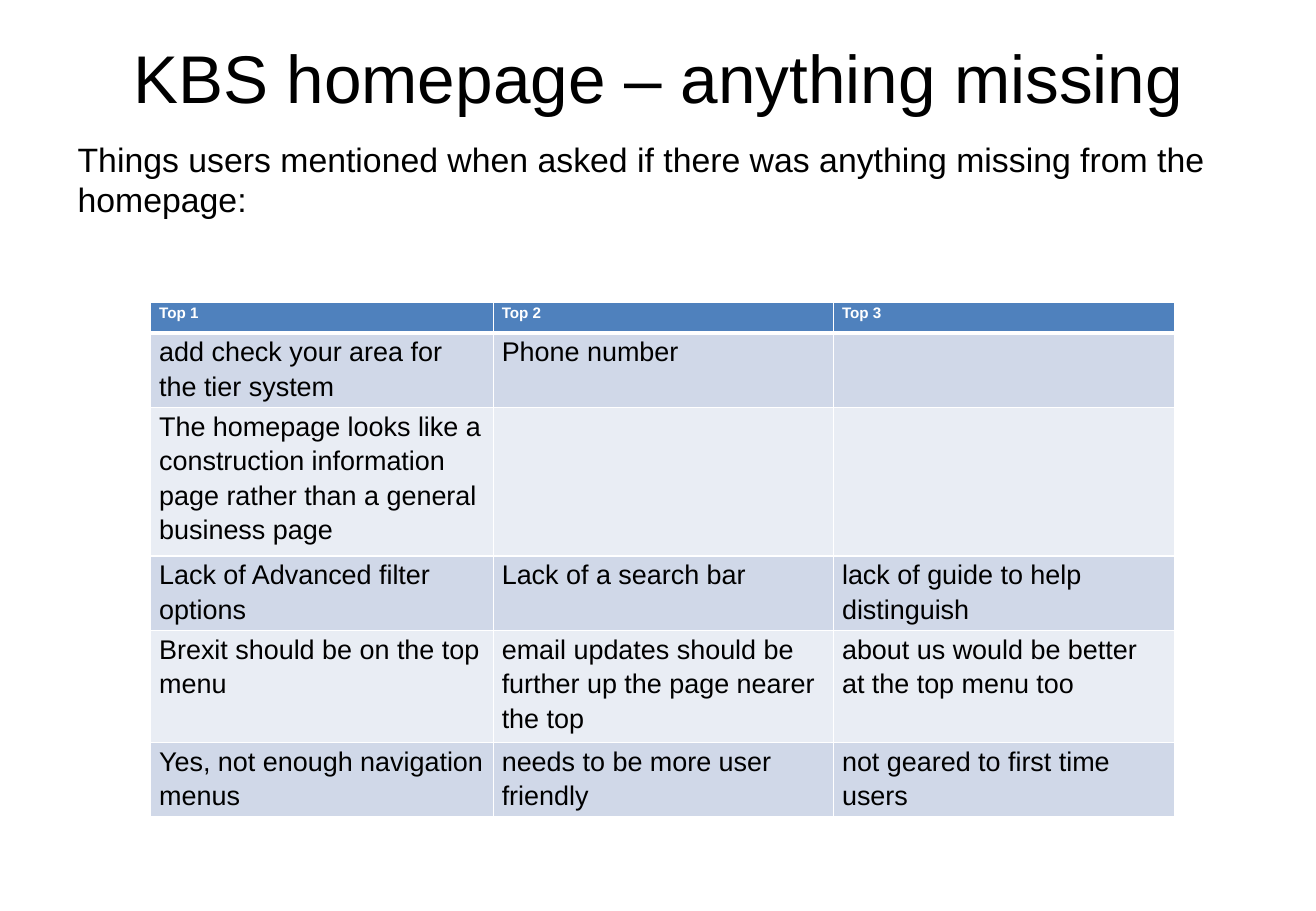
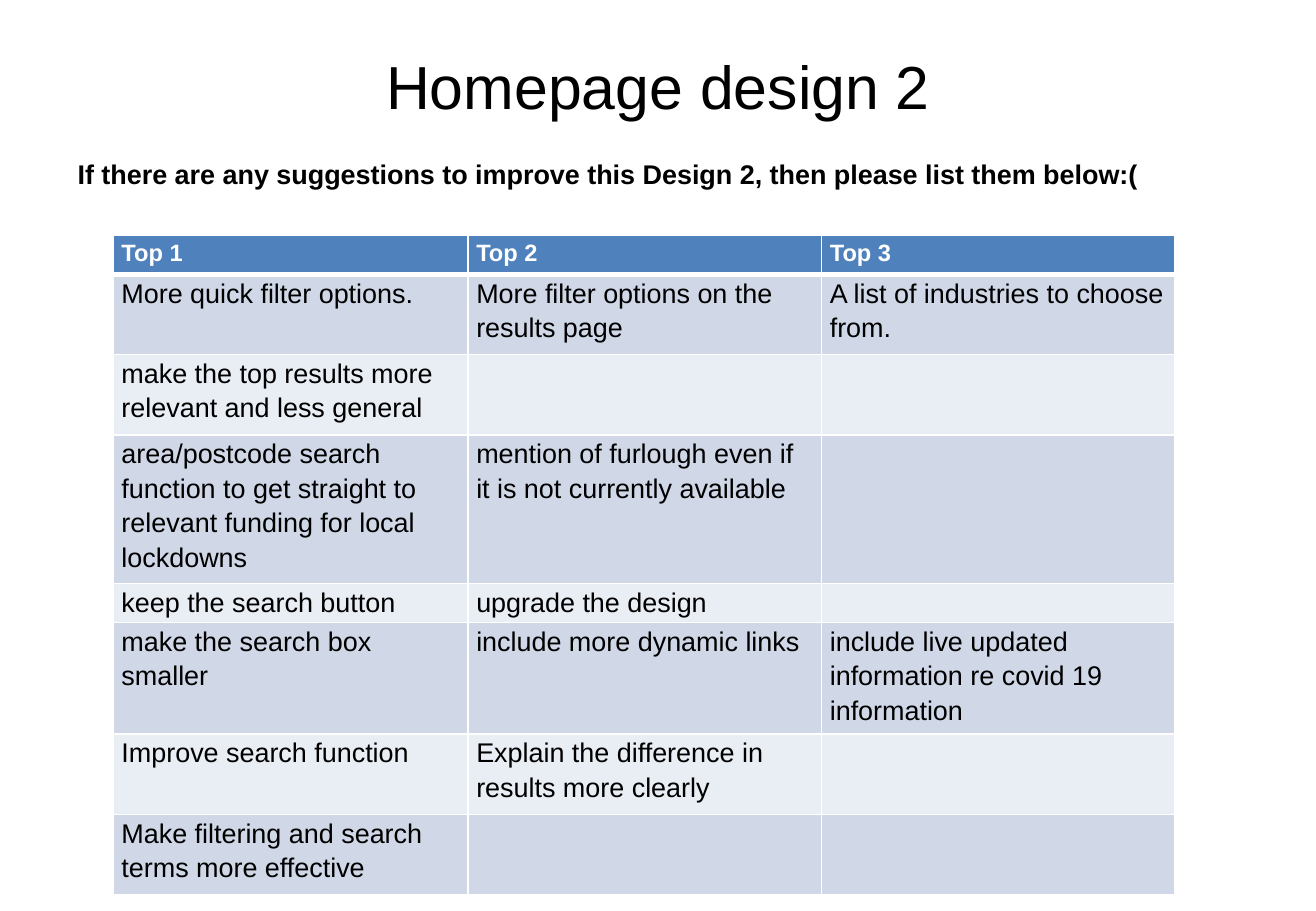
from lxml import etree
from pptx import Presentation
from pptx.dml.color import RGBColor
from pptx.enum.text import MSO_ANCHOR, PP_ALIGN
from pptx.oxml.ns import qn
from pptx.util import Inches, Pt

FONT = "Arial"
BLACK = RGBColor(0x00, 0x00, 0x00)
WHITE = RGBColor(0xFF, 0xFF, 0xFF)
HEADER_BLUE = RGBColor(0x4F, 0x81, 0xBD)
BANDS = (RGBColor(0xD0, 0xD8, 0xE8), RGBColor(0xE9, 0xED, 0xF4))

TEXT_LEFT, TEXT_WIDTH = 0.54, 9.75
TITLE_INSET, LEAD_INSET, CELL_INSET = 0.1, 0.07, 0.07
HEADINGS = ("Top 1", "Top 2", "Top 3")
THIN, THICK = 1, 3

MISSING_ITEMS = (
    ("add check your area for the tier system", "Phone number", ""),
    ("The homepage looks like a construction information page rather than "
     "a general business page", "", ""),
    ("Lack of Advanced filter options", "Lack of a search bar",
     "lack of guide to help distinguish"),
    ("Brexit should be on the top menu",
     "email updates should be further up the page nearer the top",
     "about us would be better at the top menu too"),
    ("Yes, not enough navigation menus", "needs to be more user friendly",
     "not geared to first time users"),
)

DESIGN_SUGGESTIONS = (
    ("More quick filter options.", "More filter options on the results page",
     "A list of industries to choose from."),
    ("make the top results more relevant and less general", "", ""),
    ("area/postcode search function to get straight to relevant funding "
     "for local lockdowns",
     "mention of furlough even if it is not currently available", ""),
    ("keep the search button", "upgrade the design", ""),
    ("make the search box smaller", "include more dynamic links",
     "include live updated information re covid 19 information"),
    ("Improve search function",
     "Explain the difference in results more clearly", ""),
    ("Make filtering and search terms more effective", "", ""),
)


def set_all(target, values):
    """Set each named attribute of the target."""
    for name, value in values.items():
        setattr(target, name, value)


def write(para, text, size, color=BLACK, bold=False):
    """Write the text in the paragraph with one font format."""
    para.text = text
    font_format = {"name": FONT, "size": Pt(size), "bold": bold}
    set_all(para.font, font_format)
    para.font.color.rgb = color
    for span in para.runs:
        set_all(span.font, font_format)
        span.font.color.rgb = color


def add_text(page, text, top, height, size, inset, align=PP_ALIGN.LEFT, bold=False):
    """Add a wrapped, top-anchored text box across the page."""
    box = page.shapes.add_textbox(
        Inches(TEXT_LEFT), Inches(top), Inches(TEXT_WIDTH), Inches(height))
    set_all(box.text_frame, {
        "word_wrap": True,
        "vertical_anchor": MSO_ANCHOR.TOP,
        "margin_top": Inches(inset),
    })
    para = box.text_frame.paragraphs[0]
    para.alignment = align
    write(para, text, size, bold=bold)


def add_title(page, text, top, size):
    """Add the centred page title."""
    add_text(page, text, top, 1.25, size, TITLE_INSET, PP_ALIGN.CENTER)


def add_lead(page, text, top, height, size, bold=False):
    """Add the sentence that introduces the table."""
    add_text(page, text, top, height, size, LEAD_INSET, bold=bold)


def add_borders(cell, top, bottom):
    """Draw white borders around the cell."""
    properties = cell._tc.get_or_add_tcPr()
    widths = {"a:lnL": THIN, "a:lnR": THIN, "a:lnT": top, "a:lnB": bottom}
    for tag, width in widths.items():
        line = etree.SubElement(properties, qn(tag), w=str(Pt(width)))
        fill = etree.SubElement(line, qn("a:solidFill"))
        etree.SubElement(fill, qn("a:srgbClr"), val=str(WHITE))


def fill_cell(cell, text, row, header_size):
    """Format one cell as a heading or as part of a banded row."""
    is_header = row == 0
    set_all(cell, {
        "margin_left": Inches(CELL_INSET),
        "margin_right": Inches(CELL_INSET),
        "margin_top": 0,
        "margin_bottom": 0,
        "vertical_anchor": MSO_ANCHOR.TOP,
    })
    add_borders(cell, THICK if row == 1 else THIN, THICK if is_header else THIN)
    cell.fill.solid()
    cell.fill.fore_color.rgb = HEADER_BLUE if is_header else BANDS[(row - 1) % 2]
    para = cell.text_frame.paragraphs[0]
    para.line_spacing = 1.15
    if is_header:
        write(para, text, header_size, WHITE, True)
    else:
        write(para, text, 16)


def add_answer_table(page, answers, place, widths, heights, header_size):
    """Add the table of answers under the three headings."""
    rows = (HEADINGS, *answers)
    frame = page.shapes.add_table(
        len(rows), len(HEADINGS), *(Inches(length) for length in place))
    table = frame.table
    for column, width in zip(table.columns, widths):
        column.width = Inches(width)
    for row, height in zip(table.rows, heights):
        row.height = Inches(height)
    frame.height = Inches(place[3])
    for row, texts in enumerate(rows):
        for column, text in enumerate(texts):
            fill_cell(table.cell(row, column), text, row, header_size)


def add_missing_page(page):
    """Build the page on what the homepage lacks."""
    add_title(page, "KBS homepage – anything missing", 0.2, 40)
    add_lead(page, "Things users mentioned when asked if there was anything "
             "missing from the homepage:", 1.07, 6.13, 20)
    add_answer_table(page, MISSING_ITEMS, (1.24, 2.49, 8.43, 4.13),
                     (2.82, 2.8, 2.81), (0.25, 0.51, 1.04, 0.25, 0.51, 0.51), 9)


def add_design_page(page):
    """Build the page on suggestions for the second design."""
    add_title(page, "Homepage design 2", 0.3, 36)
    add_lead(page, "If there are any suggestions to improve this Design 2, "
             "then please list them below:(", 1.23, 5.97, 16, bold=True)
    add_answer_table(page, DESIGN_SUGGESTIONS, (0.93, 1.94, 8.74, 5.4),
                     (2.92, 2.91, 2.91),
                     (0.32, 0.66, 0.66, 1.01, 0.32, 0.66, 0.66, 0.66), 14)


def main():
    """Build and save the deck."""
    deck = Presentation()
    set_all(deck, {"slide_width": Inches(10.83), "slide_height": Inches(7.5)})
    for build_page in (add_missing_page, add_design_page):
        build_page(deck.slides.add_slide(deck.slide_layouts[6]))
    deck.save("out.pptx")


main()
